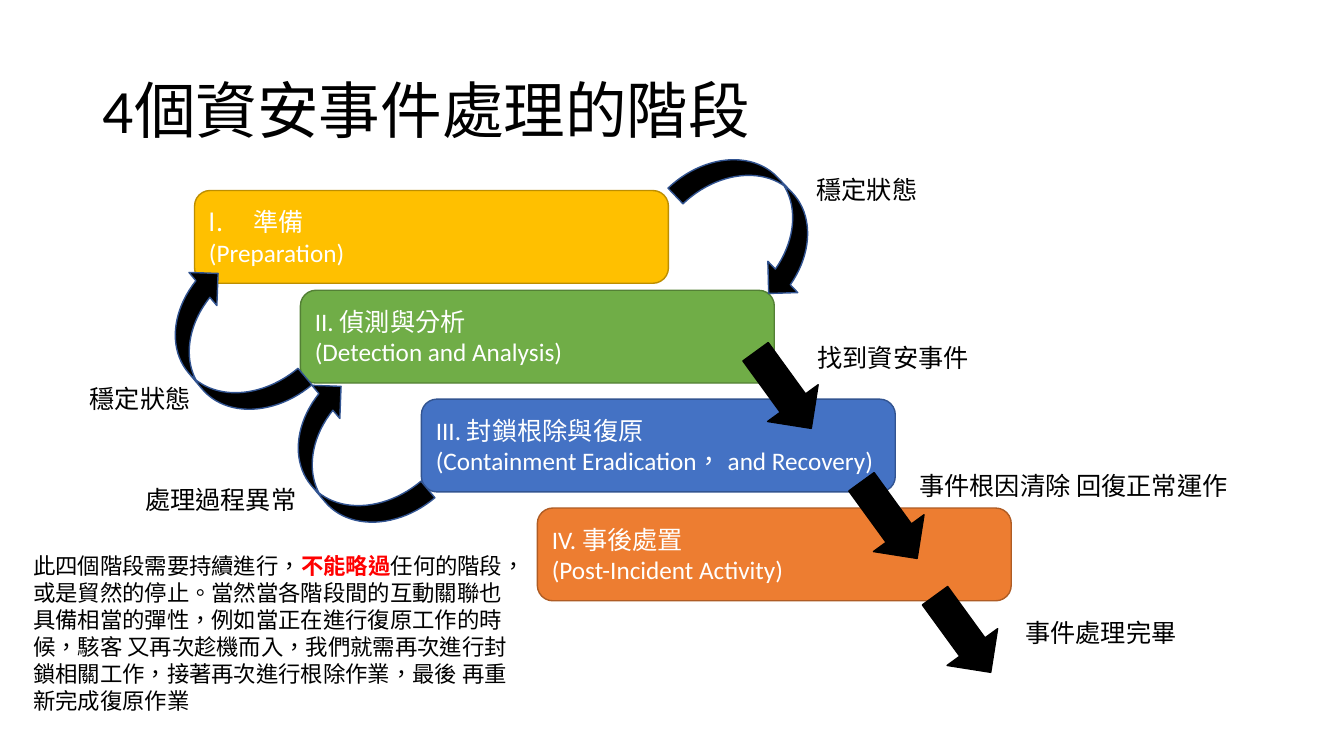
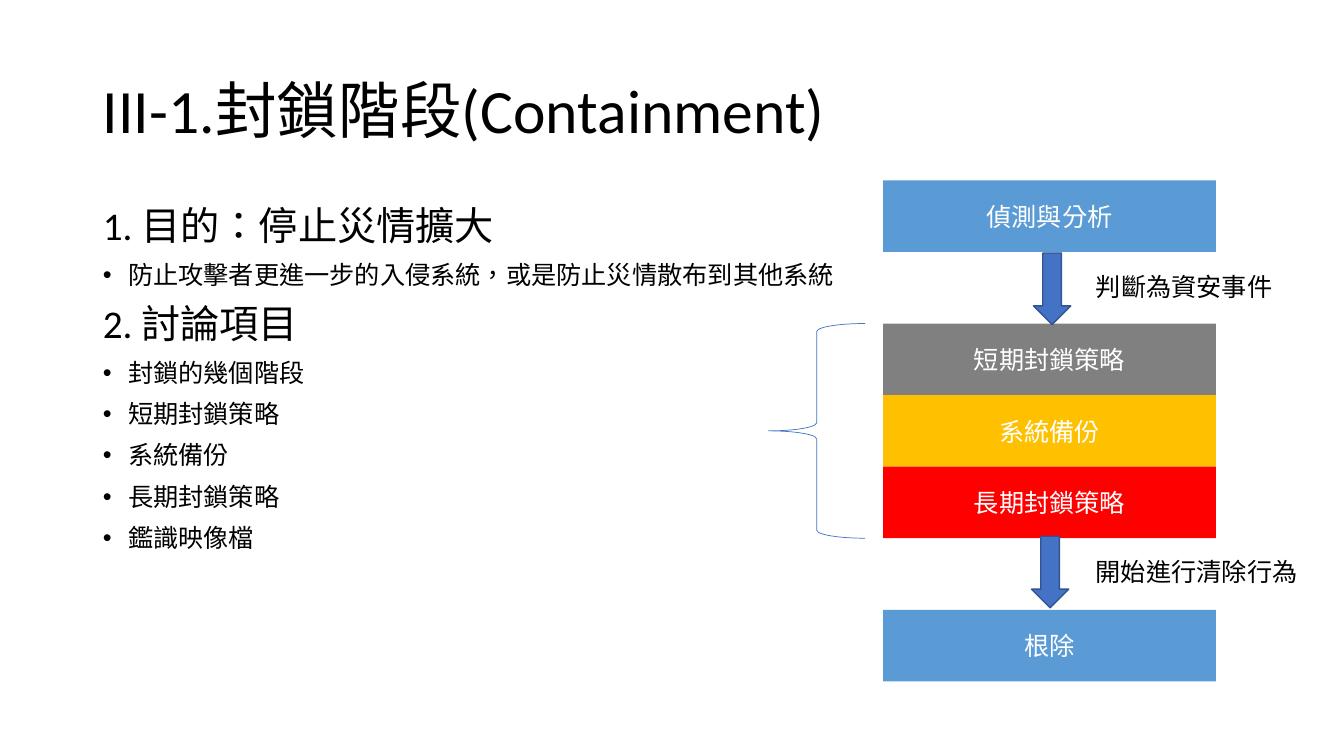
from lxml.etree import SubElement
from pptx import Presentation
from pptx.dml.color import RGBColor
from pptx.enum.lang import MSO_LANGUAGE_ID
from pptx.enum.shapes import MSO_SHAPE
from pptx.enum.text import MSO_ANCHOR, MSO_AUTO_SIZE, PP_ALIGN
from pptx.oxml.ns import qn
from pptx.util import Inches, Pt

FONT = "Calibri"
COLOURS = {
    "black": "000000", "white": "FFFFFF", "red": "FF0000", "grey": "808080",
    "gold": "FFC000", "gold edge": "BD8E00", "green": "70AD47", "green edge": "538035",
    "blue": "4472C4", "blue edge": "325491", "orange": "ED7D31", "orange edge": "AF5C24",
    "sky": "5B9BD5",
}

STAGES_TITLE = "4個資安事件處理的階段"
STAGE_SIZE = (4.7, 0.92)
STAGES = [
    (1.93, 1.89, "gold", ["準備", "(Preparation)"]),
    (2.98, 2.88, "green", ["II. 偵測與分析", "(Detection and Analysis)"]),
    (4.18, 3.96, "blue", ["III. 封鎖根除與復原", "(Containment Eradication， and Recovery)"]),
    (5.33, 5.04, "orange", ["IV. 事後處置", "(Post-Incident Activity)"]),
]
LOOP_SIZE = (0.86, 1.66)
LOOPS = [(1.8, 2.63, 139.9), (3.02, 3.75, 139.9), (7.08, 1.34, 316.3)]
STEP_SIZE = (0.94, 0.62)
STEPS = [(7.3, 3.56), (8.35, 4.85), (9.08, 5.98)]
STAGE_LABELS = [
    (0.79, 3.75, 1.21, "穩定狀態"),
    (1.34, 4.76, 1.73, "處理過程異常"),
    (8, 1.68, 1.21, "穩定狀態"),
    (8.01, 3.35, 1.73, "找到資安事件"),
    (9.02, 4.62, 3.29, "事件根因清除 回復正常運作"),
    (10.07, 6.08, 1.82, "事件處理完畢"),
]
NOTE = [
    ("此四個階段需要持續進行，", "black", False),
    ("不能略過", "red", True),
    ("任何的階段，或是貿然的停止。當然當各階段間的互動關聯也具備相當的彈性，"
     "例如當正在進行復原工作的時候，駭客 又再次趁機而入，我們就需再次進行封鎖相關工作，"
     "接著再次進行根除作業，最後 再重新完成復原作業", "black", False),
]

CONTAINMENT_TITLE = "III-1.封鎖階段(Containment)"
OUTLINE = [
    ("1. 目的：停止災情擴大", ["防止攻擊者更進一步的入侵系統，或是防止災情散布到其他系統"]),
    ("2. 討論項目", ["封鎖的幾個階段", "短期封鎖策略", "系統備份", "長期封鎖策略", "鑑識映像檔"]),
]
FLOW_LEFT, FLOW_TOP, FLOW_WIDTH, FLOW_ROW = 8.76, 1.79, 3.3, 0.71
FLOW = [
    (0, "sky", "偵測與分析"),
    (2, "grey", "短期封鎖策略"),
    (3, "gold", "系統備份"),
    (4, "red", "長期封鎖策略"),
    (6, "sky", "根除"),
]
FLOW_ARROWS = [(10.25, 2.51), (10.23, 5.32)]
FLOW_LABELS = [(10.77, 2.64, 1.98, "判斷為資安事件"), (10.77, 5.47, 2.24, "開始進行清除行為")]


def colour(name):
    return RGBColor.from_string(COLOURS[name])


def add_run(paragraph, text, size, colour_name="black", bold=False):
    run = paragraph.add_run()
    run.text = text
    run.font.name = FONT
    run.font.size = Pt(size)
    run.font.bold = bold
    run.font.color.rgb = colour(colour_name)
    run.font.language_id = MSO_LANGUAGE_ID.TRADITIONAL_CHINESE


def next_paragraph(frame, index):
    return frame.add_paragraph() if index else frame.paragraphs[0]


def set_bullet(paragraph, indent, tag, **attributes):
    properties = paragraph._p.get_or_add_pPr()
    properties.set("marL", str(Inches(indent)))
    properties.set("indent", str(-Inches(indent)))
    SubElement(properties, qn(tag), **attributes)


def add_shape(slide, kind, box, fill=None, line=None, line_width=1, rotation=0):
    shape = slide.shapes.add_shape(kind, *map(Inches, box))
    shape.shadow.inherit = False
    shape.rotation = rotation
    if fill:
        shape.fill.solid()
        shape.fill.fore_color.rgb = colour(fill)
    else:
        shape.fill.background()
    if line:
        shape.line.color.rgb = colour(line)
        shape.line.width = Pt(line_width)
    else:
        shape.line.fill.background()
    return shape


def write_shape(shape, lines, alignment):
    frame = shape.text_frame
    frame.word_wrap = True
    frame.vertical_anchor = MSO_ANCHOR.MIDDLE
    for index, line in enumerate(lines):
        paragraph = next_paragraph(frame, index)
        paragraph.alignment = alignment
        add_run(paragraph, line, 18, "white")


def add_text(slide, box, runs, size=18):
    frame = slide.shapes.add_textbox(*map(Inches, box)).text_frame
    frame.word_wrap = True
    for text, colour_name, bold in runs:
        add_run(frame.paragraphs[0], text, size, colour_name, bold)


def add_labels(slide, labels):
    for left, top, width, text in labels:
        add_text(slide, (left, top, width, 0.4), [(text, "black", False)])


def place(placeholder, left, top, width, height, anchor):
    placeholder.left, placeholder.top = Inches(left), Inches(top)
    placeholder.width, placeholder.height = Inches(width), Inches(height)
    frame = placeholder.text_frame
    frame.auto_size = MSO_AUTO_SIZE.NONE
    frame.word_wrap = True
    frame.vertical_anchor = anchor
    return frame


def add_slide(presentation, layout_index, title):
    slide = presentation.slides.add_slide(presentation.slide_layouts[layout_index])
    frame = place(slide.shapes.title, 0.92, 0.4, 11.5, 1.45, MSO_ANCHOR.MIDDLE)
    paragraph = frame.paragraphs[0]
    paragraph.alignment = PP_ALIGN.LEFT
    paragraph.line_spacing = 0.9
    add_run(paragraph, title, 44)
    return slide


def build_stages(presentation):
    slide = add_slide(presentation, 5, STAGES_TITLE)
    for index, (left, top, fill, lines) in enumerate(STAGES):
        stage = add_shape(slide, MSO_SHAPE.ROUNDED_RECTANGLE, (left, top, *STAGE_SIZE),
                          fill, fill + " edge")
        write_shape(stage, lines, PP_ALIGN.LEFT)
        if index == 0:
            set_bullet(stage.text_frame.paragraphs[0], 0.44, "a:buAutoNum", type="romanUcPeriod")
    for left, top, rotation in LOOPS:
        add_shape(slide, MSO_SHAPE.CURVED_LEFT_ARROW, (left, top, *LOOP_SIZE),
                  "black", "blue edge", rotation=rotation)
    for left, top in STEPS:
        add_shape(slide, MSO_SHAPE.RIGHT_ARROW, (left, top, *STEP_SIZE),
                  "black", "black", rotation=54)
    add_labels(slide, STAGE_LABELS)
    add_text(slide, (0.23, 5.43, 5.02, 1.72), NOTE, 16)


def build_containment(presentation):
    slide = add_slide(presentation, 1, CONTAINMENT_TITLE)
    frame = place(slide.placeholders[1], 0.92, 2, 11.5, 4.76, MSO_ANCHOR.TOP)
    rows = []
    for heading, items in OUTLINE:
        rows += [(heading, 28, 0, "a:buNone", {})]
        rows += [(item, 18, 0.25, "a:buChar", {"char": "•"}) for item in items]
    for index, (text, size, indent, tag, attributes) in enumerate(rows):
        paragraph = next_paragraph(frame, index)
        paragraph.line_spacing = 0.9
        paragraph.space_before = Pt(10)
        set_bullet(paragraph, indent, tag, **attributes)
        add_run(paragraph, text, size)
    for row, fill, text in FLOW:
        box = (FLOW_LEFT, FLOW_TOP + row * FLOW_ROW, FLOW_WIDTH, FLOW_ROW)
        write_shape(add_shape(slide, MSO_SHAPE.RECTANGLE, box, fill), [text], PP_ALIGN.CENTER)
    for left, top in FLOW_ARROWS:
        add_shape(slide, MSO_SHAPE.DOWN_ARROW, (left, top, 0.37, FLOW_ROW), "blue", "blue edge")
    add_labels(slide, FLOW_LABELS)
    brace = (7.62, FLOW_TOP + 2 * FLOW_ROW, 0.96, 3 * FLOW_ROW)
    add_shape(slide, MSO_SHAPE.LEFT_BRACE, brace, line="blue", line_width=0.5)


def main():
    presentation = Presentation()
    presentation.slide_width = Inches(13.33)
    presentation.slide_height = Inches(7.5)
    build_stages(presentation)
    build_containment(presentation)
    presentation.save("out.pptx")


if __name__ == "__main__":
    main()
